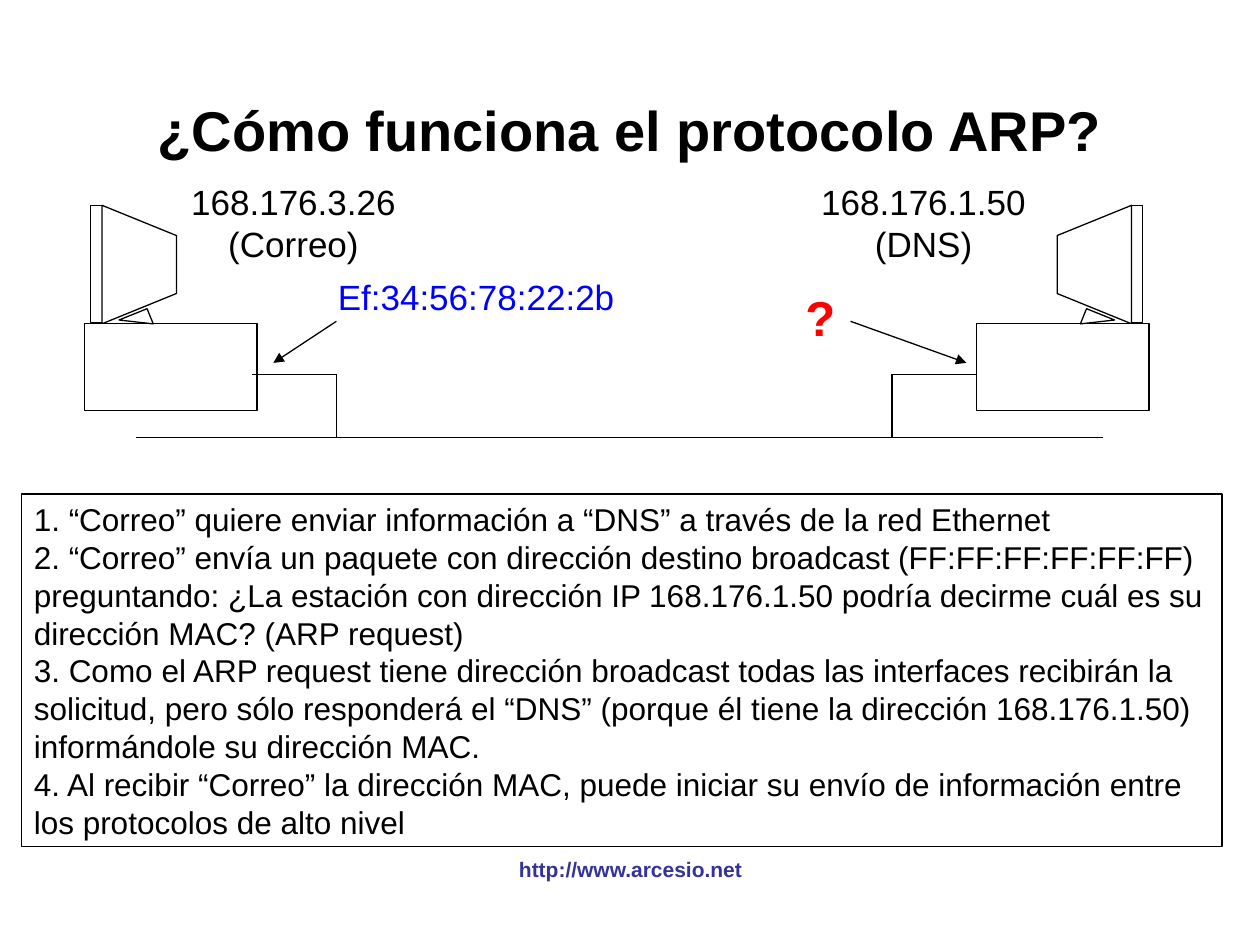
from pptx import Presentation
from pptx.dml.color import RGBColor
from pptx.enum.shapes import MSO_CONNECTOR, MSO_SHAPE
from pptx.enum.text import MSO_ANCHOR as ANCHOR, MSO_AUTO_SIZE as AUTO, PP_ALIGN as ALIGN
from pptx.oxml.ns import qn
from pptx.util import Inches, Pt
from lxml.etree import SubElement

FONT = "Arial"
BLACK, WHITE = "000000", "FFFFFF"
MIRROR = 9.79  # x of a left-hand point plus x of its right-hand twin
SCREEN_TOP, CASE_TOP = 1.63, 2.57
CABLE_Y, BUS_Y = 2.97, 3.47

STEPS = [
    "1. “Correo” quiere enviar información a “DNS” a través de la red Ethernet",
    "2. “Correo” envía un paquete con dirección destino broadcast (FF:FF:FF:FF:FF:FF) "
    "preguntando: ¿La estación con dirección IP 168.176.1.50 podría decirme cuál es su "
    "dirección MAC? (ARP request)",
    "3. Como el ARP request tiene dirección broadcast todas las interfaces recibirán la "
    "solicitud, pero sólo responderá el “DNS” (porque él tiene la dirección 168.176.1.50) "
    "informándole su dirección MAC.",
    "4. Al recibir “Correo” la dirección MAC, puede iniciar su envío de información entre "
    "los protocolos de alto nivel",
]


def color(hex_text):
    return RGBColor.from_string(hex_text)


def inches(*values):
    return [Inches(v) for v in values]


def write(tf, lines, size, hex_text=BLACK, bold=False, align=ALIGN.CENTER):
    tf.text = "\n".join(lines)
    for p in tf.paragraphs:
        p.alignment = align
        for name, value in dict(name=FONT, size=Pt(size), bold=bold).items():
            setattr(p.font, name, value)
        p.font.color.rgb = color(hex_text)


def add_label(slide, place, lines, size, wrap=False, anchor=ANCHOR.MIDDLE, **style):
    tf = slide.shapes.add_textbox(*inches(*place)).text_frame
    write(tf, lines, size, **style)
    for name, value in dict(word_wrap=wrap, vertical_anchor=anchor,
                            auto_size=AUTO.SHAPE_TO_FIT_TEXT).items():
        setattr(tf, name, value)


def outline(sp, fill=WHITE):
    sp.shadow.inherit = False
    if fill:
        sp.fill.solid()
        sp.fill.fore_color.rgb = color(fill)
    else:
        sp.fill.background()
    sp.line.color.rgb = color(BLACK)
    sp.line.width = Pt(0.75)


def add_line(slide, start, end, arrow=False):
    line = slide.shapes.add_connector(MSO_CONNECTOR.STRAIGHT, *inches(*start, *end))
    line.line.color.rgb = color(BLACK)
    line.line.width = Pt(0.75)
    if arrow:
        SubElement(line.line._get_or_add_ln(), qn("a:tailEnd"), type="triangle")
    SubElement(line._element.spPr, qn("a:effectLst"))


def add_computer(slide, mirrored):
    """Draw a computer at the left, or its mirror image at the right."""
    def flip(x, width=0):
        return MIRROR - x - width if mirrored else x

    def part(shape, left, top, width, height):
        sp = slide.shapes.add_shape(shape, *inches(flip(left, width), top, width, height))
        outline(sp)
        return sp

    part(MSO_SHAPE.RECTANGLE, 0.72, SCREEN_TOP, 0.1, 0.93)
    tube = [(0.81, CASE_TOP), (1.4, 2.33), (1.4, 1.87), (0.81, SCREEN_TOP)]
    points = [inches(flip(x), y) for x, y in tube]
    builder = slide.shapes.build_freeform(*points[0])
    builder.add_line_segments(points[1:], close=True)
    outline(builder.convert_to_shape())
    part(MSO_SHAPE.RECTANGLE, 0.67, CASE_TOP, 1.37, 0.69)
    stand = part(MSO_SHAPE.RIGHT_TRIANGLE, 0.96, 2.49, 0.24, 0.13)
    stand.rotation = 202 if mirrored else 158
    if mirrored:
        stand._element.spPr.xfrm.set("flipH", "1")


def add_network(slide):
    for mirrored in (True, False):
        add_computer(slide, mirrored)
    add_line(slide, (1.08, BUS_Y), (8.75, BUS_Y))
    for case_x, drop_x in ((2, 2.67), (7.75, 7.08)):
        add_line(slide, (case_x, CABLE_Y), (drop_x, CABLE_Y))
        add_line(slide, (drop_x, CABLE_Y), (drop_x, BUS_Y))
    for start_x, end_x in ((2.67, 2.17), (6.75, 7.67)):
        add_line(slide, (start_x, 2.55), (end_x, 2.88), arrow=True)


def add_title(slide, text):
    title = slide.shapes.title
    title.left, title.top, title.width, title.height = inches(0.75, 0.67, 8.5, 1.25)
    tf = title.text_frame
    write(tf, [text], 32, bold=True)
    for name, value in dict(vertical_anchor=ANCHOR.TOP, margin_top=Inches(0.09),
                            auto_size=AUTO.NONE).items():
        setattr(tf, name, value)


def add_steps(slide):
    sp = slide.shapes.add_shape(MSO_SHAPE.RECTANGLE, *inches(0.17, 3.92, 9.53, 2.8))
    outline(sp, fill=None)
    write(sp.text_frame, STEPS, 18, align=ALIGN.LEFT)
    sp.text_frame.vertical_anchor = ANCHOR.MIDDLE


def main():
    prs = Presentation()
    prs.slide_width, prs.slide_height = inches(10, 7.5)
    slide = prs.slides.add_slide(prs.slide_layouts[5])
    add_title(slide, "¿Cómo funciona el protocolo ARP?")
    add_steps(slide)
    add_network(slide)
    for left, lines in ((1.38, ["168.176.3.26", "(Correo)"]),
                        (6.38, ["168.176.1.50", "(DNS)"])):
        add_label(slide, (left, 1.38, 1.9, 0.77), lines, 20)
    add_label(slide, (2.58, 2.13, 2.4, 0.44), ["Ef:34:56:78:22:2b"], 20, hex_text="0000FF")
    add_label(slide, (6.29, 2.23, 0.44, 0.57), ["?"], 28, hex_text="FF0000", bold=True)
    add_label(slide, (3.42, 6.75, 3.17, 0.3), ["http://www.arcesio.net"], 12,
              wrap=True, anchor=ANCHOR.BOTTOM, hex_text="333399", bold=True)
    prs.save("out.pptx")


if __name__ == "__main__":
    main()
